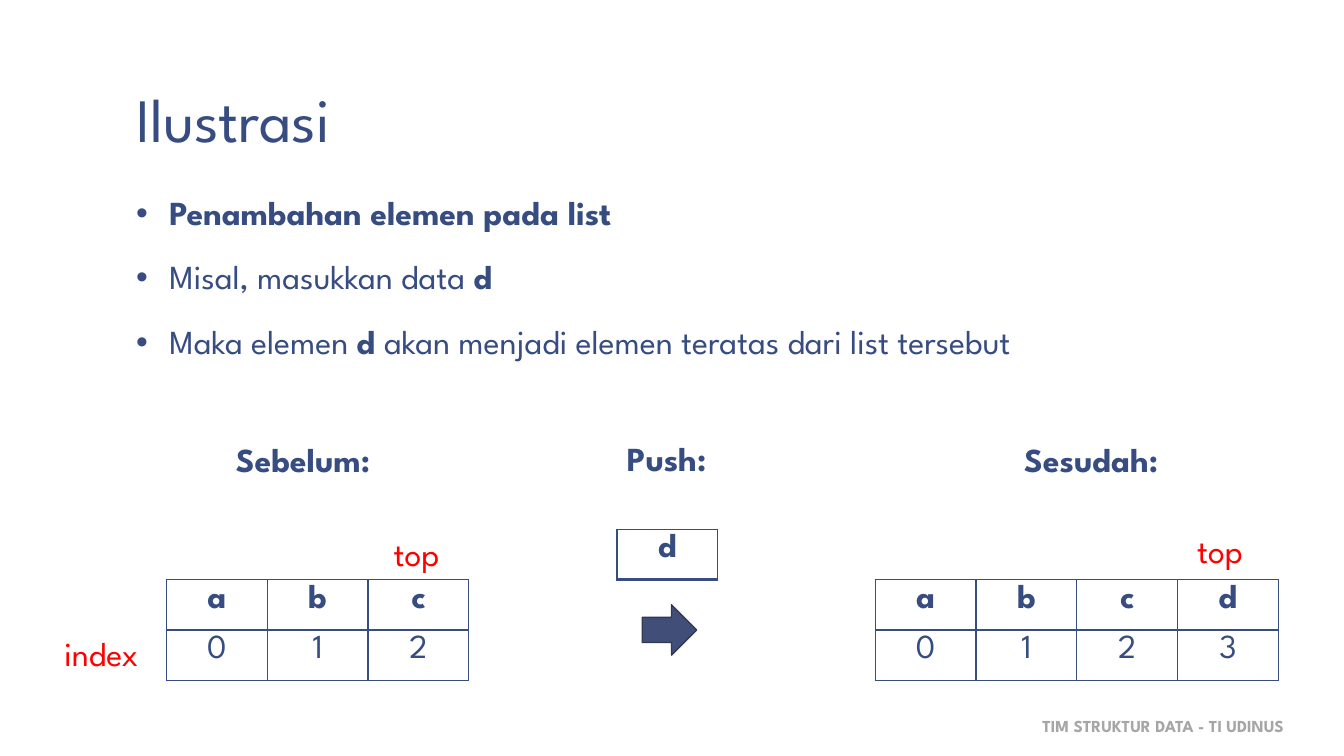
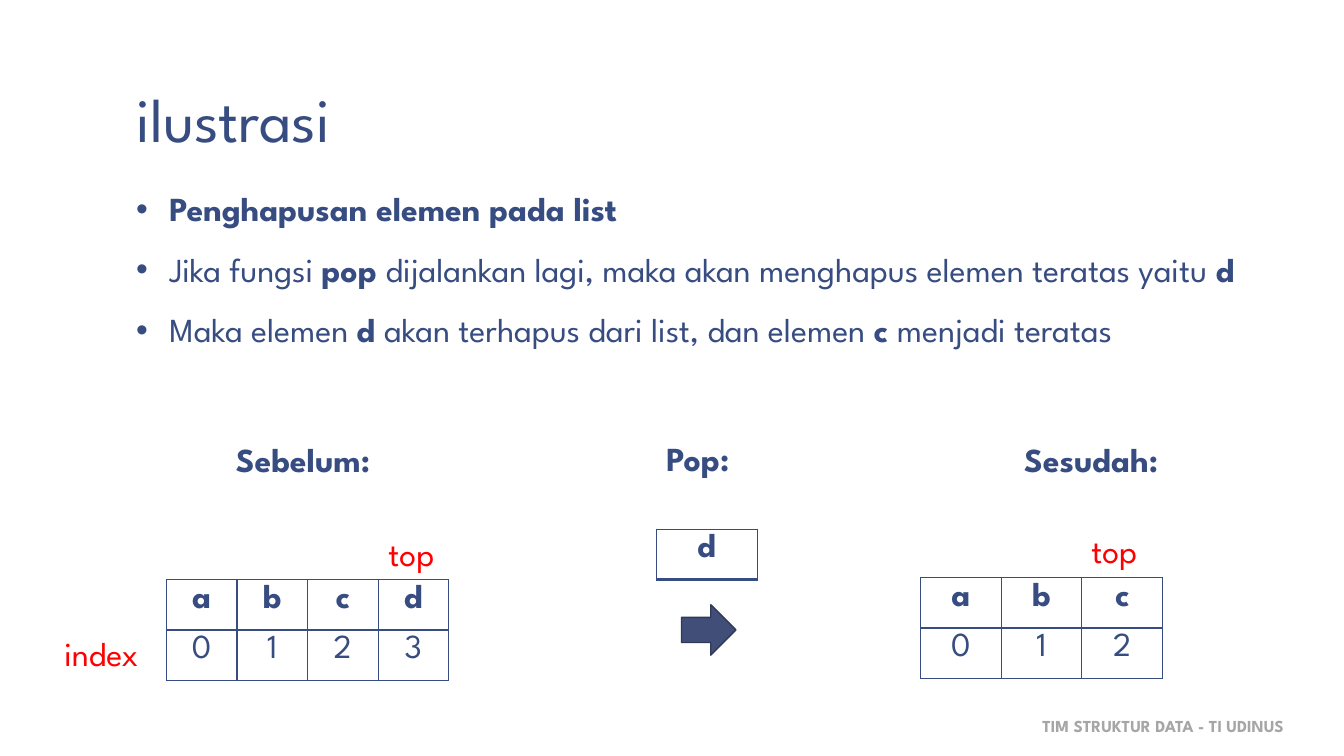
import pptx
import pptx.dml.color
import pptx.enum.shapes
import pptx.enum.text
import pptx.oxml
import pptx.oxml.ns
import pptx.util

Inches = pptx.util.Inches
Pt = pptx.util.Pt
RGBColor = pptx.dml.color.RGBColor
PP_ALIGN = pptx.enum.text.PP_ALIGN
MSO_ANCHOR = pptx.enum.text.MSO_ANCHOR
MSO_AUTO_SIZE = pptx.enum.text.MSO_AUTO_SIZE

FONT = "League Spartan"
NAVY = RGBColor(0x37, 0x4C, 0x81)
RED = RGBColor(0xFF, 0x00, 0x00)
GRAY = RGBColor(0xA6, 0xA6, 0xA6)
WHITE = RGBColor(0xFF, 0xFF, 0xFF)
ARROW_FILL = RGBColor(0x41, 0x4E, 0x77)
ARROW_LINE = RGBColor(0x30, 0x3A, 0x58)

FOOTER = "TIM STRUKTUR DATA - TI UDINUS"
HEADING_TOP = 4.31
LIST_TOP = 5.75
LABEL_WIDTH = 0.77
PLACEHOLDER_BOXES = [(1.22, 0.08, 11.11, 1.53), (1.22, 1.86, 11.33, 2.44)]

SLIDES = [
    {
        "title": "Ilustrasi",
        "line_spacing": 0.95,
        "bullets": [
            [("Penambahan elemen pada list", True)],
            [("Misal, masukkan data ", False), ("d", True)],
            [("Maka elemen ", False), ("d ", True),
             ("akan menjadi elemen teratas dari list tersebut", False)],
        ],
        "operation": ("Push:", 6.12, 1.04),
        "before": ("abc", 1.65, LIST_TOP, 1),
        "after": ("abcd", 8.68, LIST_TOP, 1),
    },
    {
        "title": "ilustrasi",
        "line_spacing": 0.85,
        "bullets": [
            [("Penghapusan elemen pada list", True)],
            [("Jika fungsi ", False), ("pop ", True),
             ("dijalankan lagi, maka akan menghapus elemen teratas yaitu ", False),
             ("d", True)],
            [("Maka elemen ", False), ("d ", True),
             ("akan terhapus dari list, dan elemen ", False), ("c ", True),
             ("menjadi teratas", False)],
        ],
        "operation": ("Pop:", 6.51, 0.92),
        "before": ("abcd", 1.65, LIST_TOP, 0.7),
        "after": ("abc", 9.13, 5.73, 0.8),
    },
]


def add_run(paragraph, text, size=24, color=NAVY, bold=False):
    """Append one formatted run to a paragraph."""
    run = paragraph.add_run()
    run.text = text
    run.font.name = FONT
    run.font.size = Pt(size)
    run.font.bold = bold
    run.font.color.rgb = color


def set_up_layout(layout):
    """Place the title and body placeholders that the slides inherit."""
    for placeholder, box in zip(layout.placeholders, PLACEHOLDER_BOXES):
        left, top, width, height = map(Inches, box)
        placeholder.left, placeholder.top = left, top
        placeholder.width, placeholder.height = width, height
        frame = placeholder.text_frame
        frame.margin_left = frame.margin_right = Inches(0.13)
        frame.margin_top = frame.margin_bottom = Inches(0.07)
        frame.auto_size = MSO_AUTO_SIZE.NONE
    layout.placeholders[0].text_frame.vertical_anchor = MSO_ANCHOR.BOTTOM


def fill_title(slide, text):
    """Write the slide title."""
    paragraph = slide.shapes.title.text_frame.paragraphs[0]
    paragraph.alignment = PP_ALIGN.LEFT
    paragraph.line_spacing = 0.85
    add_run(paragraph, text, 44)


def fill_bullets(slide, bullets, line_spacing):
    """Write the bulleted list in the body placeholder."""
    frame = slide.placeholders[1].text_frame
    for index, runs in enumerate(bullets):
        paragraph = frame.add_paragraph() if index else frame.paragraphs[0]
        paragraph.line_spacing = line_spacing
        paragraph.space_before = Pt(18.7)
        properties = paragraph._p.get_or_add_pPr()
        properties.set("marL", str(Inches(0.33)))
        properties.set("indent", str(-Inches(0.33)))
        for text, bold in runs:
            add_run(paragraph, text, bold=bold)


def add_label(slide, text, left, top, width, height=0.5, **style):
    """Add a one-line text box."""
    box = slide.shapes.add_textbox(
        Inches(left), Inches(top), Inches(width), Inches(height))
    box.text_frame.word_wrap = False
    box.text_frame.auto_size = MSO_AUTO_SIZE.SHAPE_TO_FIT_TEXT
    add_run(box.text_frame.paragraphs[0], text, **style)


def set_borders(cell, bottom_width):
    """Draw the four borders of a table cell."""
    properties = cell._tc.get_or_add_tcPr()
    for side, width in (("L", 1), ("R", 1), ("T", 1), ("B", bottom_width)):
        properties.append(pptx.oxml.parse_xml(
            f'<a:ln{side} {pptx.oxml.ns.nsdecls("a")} w="{Pt(width)}">'
            f'<a:solidFill><a:srgbClr val="{NAVY}"/></a:solidFill></a:ln{side}>'))


def add_grid(slide, rows, left, top, column_width, row_height):
    """Add a bordered table whose first row is bold."""
    columns = len(rows[0])
    table = slide.shapes.add_table(
        len(rows), columns, Inches(left), Inches(top),
        Inches(column_width * columns), Inches(row_height * len(rows))).table
    table.first_row = table.horz_banding = False
    for row_index, values in enumerate(rows):
        for column_index, value in enumerate(values):
            cell = table.cell(row_index, column_index)
            header = row_index == 0
            set_borders(cell, 2 if header else 1)
            cell.fill.solid()
            cell.fill.fore_color.rgb = WHITE
            paragraph = cell.text_frame.paragraphs[0]
            paragraph.alignment = PP_ALIGN.CENTER
            add_run(paragraph, value, bold=header)


def add_list(slide, state, row_height, label_top, label_shift):
    """Add an indexed list and mark its last element as the top."""
    elements, left, top, column_width = state
    indexes = [str(index) for index in range(len(elements))]
    add_grid(slide, [elements, indexes], left, top, column_width, row_height)
    last_center = left + column_width * (len(elements) - 0.5)
    add_label(slide, "top", last_center - LABEL_WIDTH / 2 + label_shift,
              label_top, LABEL_WIDTH, color=RED)


def add_operation(slide, name, left, width):
    """Add the operation heading, its element and the arrow."""
    add_label(slide, name, left, HEADING_TOP - 0.01, width, bold=True)
    add_grid(slide, ["d"], left, 5.25, 1, 0.5)
    arrow = slide.shapes.add_shape(
        pptx.enum.shapes.MSO_SHAPE.RIGHT_ARROW,
        Inches(left + 0.25), Inches(6), Inches(0.54), Inches(0.5))
    arrow.shadow.inherit = False
    arrow.fill.solid()
    arrow.fill.fore_color.rgb = ARROW_FILL
    arrow.line.color.rgb = ARROW_LINE
    arrow.line.width = Pt(1)


def add_illustration(presentation, layout, content):
    """Add one slide showing a list before and after an operation."""
    slide = presentation.slides.add_slide(layout)
    add_label(slide, FOOTER, 10.24, 7.05, 2.67, 0.3,
              size=12, color=GRAY, bold=True)
    fill_title(slide, content["title"])
    fill_bullets(slide, content["bullets"], content["line_spacing"])
    add_label(slide, "Sebelum:", 2.24, HEADING_TOP, 1.72, bold=True)
    add_label(slide, "Sesudah:", 10.06, HEADING_TOP, 1.68, bold=True)
    add_label(slide, "index", 0.54, 6.23, 1.09, color=RED)
    add_list(slide, content["before"], 0.41, 5.24, 0.04)
    add_list(slide, content["after"], 0.5, 5.21, -0.02)
    add_operation(slide, *content["operation"])


def main():
    """Build and save the presentation."""
    presentation = pptx.Presentation()
    presentation.slide_width = Inches(13.33)
    presentation.slide_height = Inches(7.5)
    layout = presentation.slide_layouts[1]
    set_up_layout(layout)
    for content in SLIDES:
        add_illustration(presentation, layout, content)
    presentation.save("out.pptx")


if __name__ == "__main__":
    main()
